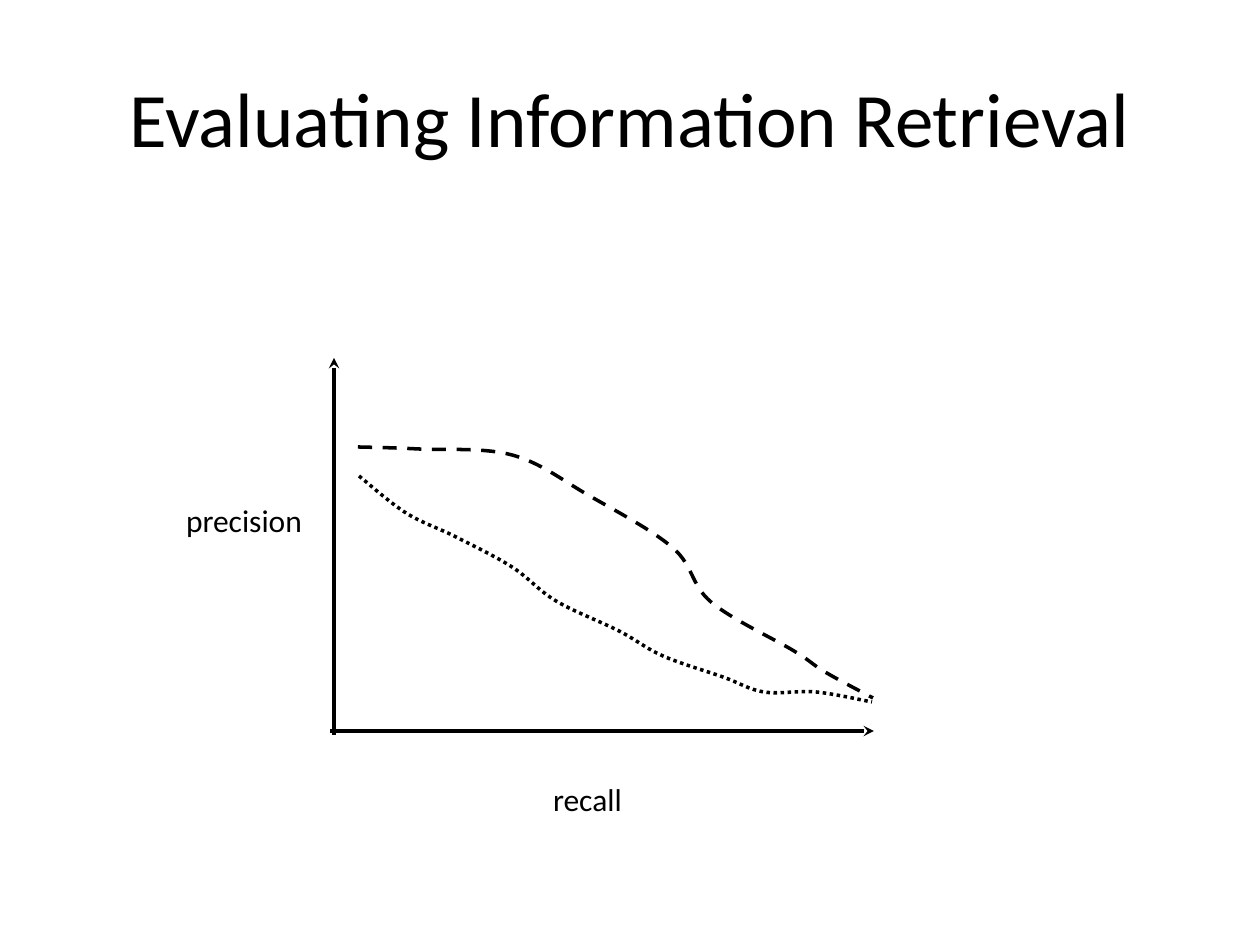
import pptx
import pptx.dml.color
import pptx.enum.dml
import pptx.enum.shapes
import pptx.enum.text
import pptx.oxml.ns
import pptx.util
from lxml import etree

EMU_PER_PX = 914400 / 126
BLACK = pptx.dml.color.RGBColor(0, 0, 0)
FONT = "Calibri"
LINE_WIDTH = pptx.util.Pt(2)
DASH = pptx.enum.dml.MSO_LINE.DASH
DOT = pptx.enum.dml.MSO_LINE.ROUND_DOT  # written as sysDot
ALIGN = pptx.enum.text.PP_ALIGN
ANCHOR = pptx.enum.text.MSO_ANCHOR

# Points that each precision-recall curve passes through
UPPER_CURVE = [(358, 447), (418, 449), (512, 455), (588, 495), (673, 548),
               (711, 602), (794, 651), (825, 672), (873, 698)]
LOWER_CURVE = [(359, 476), (406, 513), (456, 537), (512, 567), (556, 601),
               (619, 631), (663, 656), (723, 677), (764, 692), (816, 692),
               (872, 702)]


def px(length):
    return pptx.util.Emu(round(length * EMU_PER_PX))


def place(shape, left, top, width, height):
    shape.left, shape.top = px(left), px(top)
    shape.width, shape.height = px(width), px(height)


def write_text(shape, text, size=18, color=BLACK, align=ALIGN.LEFT,
               anchor=ANCHOR.BOTTOM):
    frame = shape.text_frame
    frame.vertical_anchor = anchor
    paragraph = frame.paragraphs[0]
    paragraph.alignment = align
    run = paragraph.add_run()
    run.text = text
    run.font.name = FONT
    run.font.size = pptx.util.Pt(size)
    run.font.color.rgb = color


def add_title(slide, text):
    title = slide.shapes.title
    place(title, 63, 38, 1134, 158)
    write_text(title, text, size=44, align=ALIGN.CENTER, anchor=ANCHOR.MIDDLE)


def add_label(slide, text, left, top, width, height=38):
    label = slide.shapes.add_textbox(px(left), px(top), px(width), px(height))
    frame = label.text_frame
    frame.margin_left = frame.margin_right = 0
    frame.margin_top = frame.margin_bottom = 0
    frame.word_wrap = False
    frame.auto_size = pptx.enum.text.MSO_AUTO_SIZE.SHAPE_TO_FIT_TEXT
    write_text(label, text)


def style_line(shape):
    shape.line.color.rgb = BLACK
    shape.line.width = LINE_WIDTH


def add_axis(slide, tip, foot):
    axis = slide.shapes.add_connector(
        pptx.enum.shapes.MSO_CONNECTOR.STRAIGHT, *map(px, tip + foot))
    style_line(axis)
    properties = axis._element.spPr
    line = properties.find(pptx.oxml.ns.qn("a:ln"))
    etree.SubElement(line, pptx.oxml.ns.qn("a:headEnd"), type="stealth")
    etree.SubElement(properties, pptx.oxml.ns.qn("a:effectLst"))


def spline_points(knots):
    """Two control points and an end point for each Catmull-Rom segment."""
    padded = [knots[0], *knots, knots[-1]]
    points = []
    for before, start, end, after in zip(padded, padded[1:], padded[2:], padded[3:]):
        points.append([s + (e - b) / 6 for b, s, e in zip(before, start, end)])
        points.append([e - (a - s) / 6 for s, e, a in zip(start, end, after)])
        points.append(end)
    return points


def add_curve(slide, knots, dash):
    builder = slide.shapes.build_freeform(*map(px, knots[0]))
    builder.add_line_segments(
        [(px(x), px(y)) for x, y in spline_points(knots)], close=False)
    curve = builder.convert_to_shape()
    # Gather each three straight segments into one cubic segment
    outline = curve._element.xpath(".//a:path")[0]
    segments = outline.findall(pptx.oxml.ns.qn("a:lnTo"))
    for index in range(0, len(segments), 3):
        cubic = etree.SubElement(outline, pptx.oxml.ns.qn("a:cubicBezTo"))
        for segment in segments[index:index + 3]:
            cubic.append(segment[0])
            outline.remove(segment)
    curve.fill.background()
    curve.shadow.inherit = False
    style_line(curve)
    curve.line.dash_style = dash


def main():
    presentation = pptx.Presentation()
    presentation.slide_width = px(1260)
    presentation.slide_height = px(945)
    slide = presentation.slides.add_slide(presentation.slide_layouts[5])

    add_title(slide, "Evaluating Information Retrieval")

    # Axes, each with its arrowhead at the tip
    add_axis(slide, tip=(334, 358), foot=(334, 735))
    add_axis(slide, tip=(874, 731), foot=(330, 731))
    add_label(slide, "precision", 186, 501, 117)
    add_label(slide, "recall", 553, 780, 69)

    # Precision-recall curves
    add_curve(slide, UPPER_CURVE, DASH)
    add_curve(slide, LOWER_CURVE, DOT)

    presentation.save("out.pptx")


if __name__ == "__main__":
    main()
